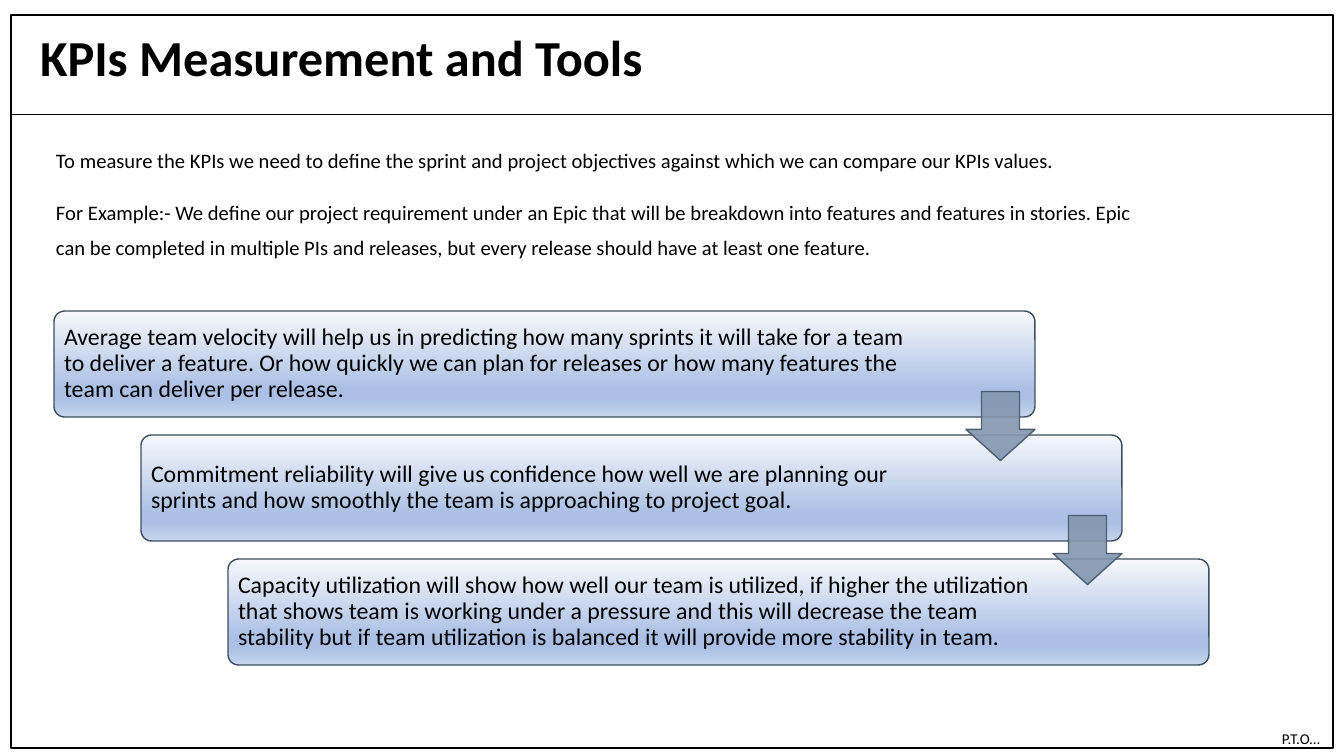
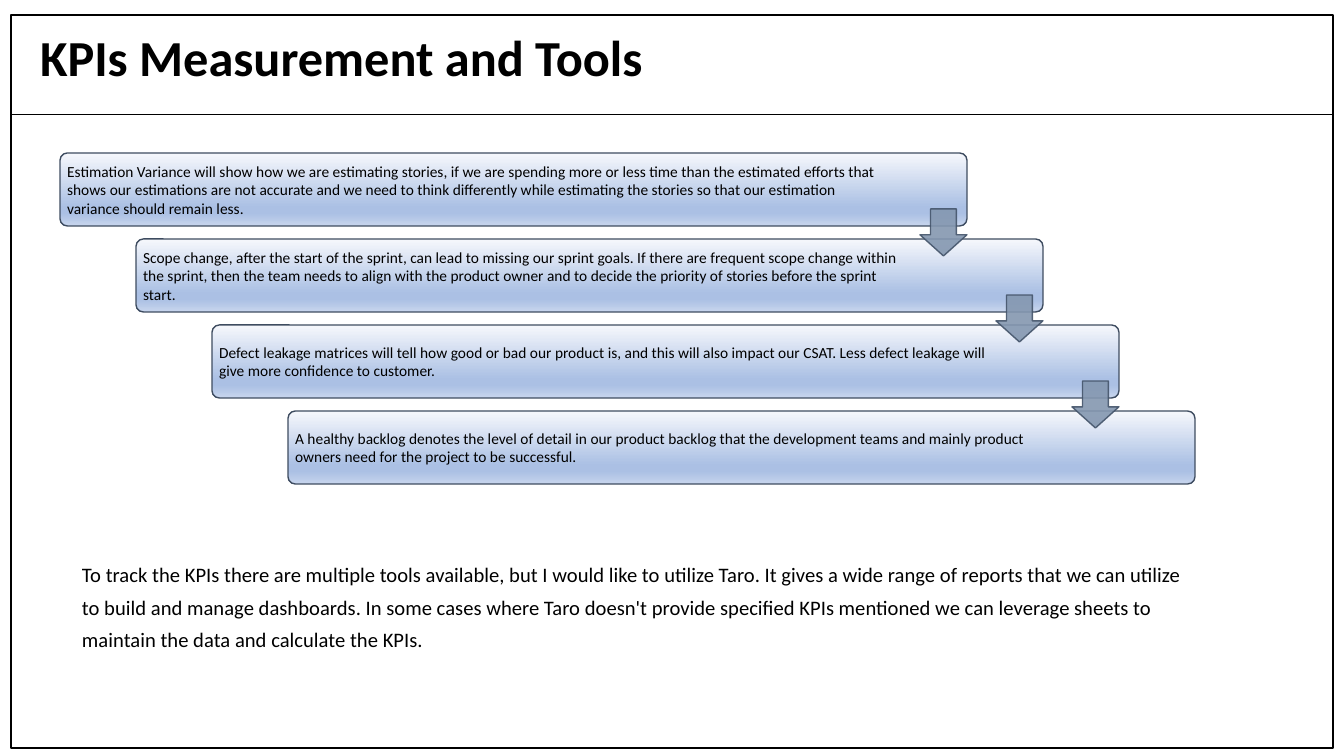
from lxml import etree
from pptx import Presentation
from pptx.dml.color import RGBColor
from pptx.enum.shapes import MSO_CONNECTOR, MSO_SHAPE
from pptx.enum.text import MSO_ANCHOR, PP_ALIGN
from pptx.oxml.ns import qn
from pptx.util import Pt

EMU_PER_INCH = 914400
PX_PER_INCH = 100.8
SLIDE_WIDTH, SLIDE_HEIGHT = 1344, 756

BLACK = RGBColor(0x00, 0x00, 0x00)
CARD_LINE = RGBColor(0x3E, 0x4C, 0x60)
CARD_STOPS = (
    (0, RGBColor(0xF6, 0xF8, 0xFC)),
    (74, RGBColor(0xAB, 0xC0, 0xE4)),
    (83, RGBColor(0xAB, 0xC0, 0xE4)),
    (100, RGBColor(0xC7, 0xD5, 0xED)),
)
ARROW_FILL = RGBColor(0x84, 0x97, 0xB0)
ARROW_LINE = RGBColor(0x44, 0x54, 0x6A)
ARROW_OPACITY = 90

FONT = "Calibri"
TITLE = "KPIs Measurement and Tools"

RECTANGLE = MSO_SHAPE.RECTANGLE
ROUNDED_RECTANGLE = MSO_SHAPE.ROUNDED_RECTANGLE
DOWN_ARROW = MSO_SHAPE.DOWN_ARROW
STRAIGHT = MSO_CONNECTOR.STRAIGHT
TOP, MIDDLE = MSO_ANCHOR.TOP, MSO_ANCHOR.MIDDLE
LEFT = PP_ALIGN.LEFT

OBJECTIVES = (
    "To measure the KPIs we need to define the sprint and project objectives "
    "against which we can compare our KPIs values.",
    "For Example:- We define our project requirement under an Epic that will be "
    "breakdown into features and features in stories. Epic can be completed in "
    "multiple PIs and releases, but every release should have at least one feature.",
)
TEAM_KPIS = (
    "Average team velocity will help us in predicting how many sprints it will take "
    "for a team to deliver a feature. Or how quickly we can plan for releases or how "
    "many features the team can deliver per release.",
    "Commitment reliability will give us confidence how well we are planning our "
    "sprints and how smoothly the team is approaching to project goal.",
    "Capacity utilization will show how well our team is utilized, if higher the "
    "utilization that shows team is working under a pressure and this will decrease "
    "the team stability but if team utilization is balanced it will provide more "
    "stability in team.",
)
DELIVERY_KPIS = (
    "Estimation Variance will show how we are estimating stories, if we are spending "
    "more or less time than the estimated efforts that shows our estimations are not "
    "accurate and we need to think differently while estimating the stories so that "
    "our estimation variance should remain less.",
    "Scope change, after the start of the sprint, can lead to missing our sprint "
    "goals. If there are frequent scope change within the sprint, then the team needs "
    "to align with the product owner and to decide the priority of stories before the "
    "sprint start.",
    "Defect leakage matrices will tell how good or bad our product is, and this will "
    "also impact our CSAT. Less defect leakage will give more confidence to customer.",
    "A healthy backlog denotes the level of detail in our product backlog that the "
    "development teams and mainly product owners need for the project to be "
    "successful.",
)
TOOLS = (
    "To track the KPIs there are multiple tools available, but I would like to utilize "
    "Taro. It gives a wide range of reports that we can utilize to build and manage "
    "dashboards. In some cases where Taro doesn't provide specified KPIs mentioned we "
    "can leverage sheets to maintain the data and calculate the KPIs.",
)


def px(length):
    return round(length * EMU_PER_INCH / PX_PER_INCH)


class Deck:
    def __init__(self):
        self.presentation = Presentation()
        self.presentation.slide_width = px(SLIDE_WIDTH)
        self.presentation.slide_height = px(SLIDE_HEIGHT)
        self.slide = None

    def new_slide(self):
        """Start a slide with the shared frame, title rule and title."""
        layout = self.presentation.slide_layouts[6]
        self.slide = self.presentation.slides.add_slide(layout)
        frame = self.shape(RECTANGLE, 11, 15, 1322, 733, BLACK)
        frame.fill.background()
        self.rule(11, 1333, 114)
        self.text_box(30, 33, 1159, 54, [TITLE], 36, bold=True,
                      line_spacing=0.9, anchor=MIDDLE)

    def shape(self, kind, left, top, width, height, line_color):
        shape = self.slide.shapes.add_shape(
            kind, px(left), px(top), px(width), px(height))
        shape.shadow.inherit = False
        shape.line.color.rgb = line_color
        shape.line.width = Pt(1)
        return shape

    def rule(self, left, right, top):
        line = self.slide.shapes.add_connector(
            STRAIGHT, px(left), px(top), px(right), px(top))
        line.line.color.rgb = BLACK
        line.line.width = Pt(0.5)
        etree.SubElement(line.element.spPr, qn("a:effectLst"))

    def add_text(self, shape, texts, size, margins, bold=False, line_spacing=1.0,
                 space_before=0, anchor=TOP):
        """Fill a shape with paragraphs; margins are left, top, right, bottom."""
        frame = shape.text_frame
        frame.word_wrap = True
        frame.vertical_anchor = anchor
        (frame.margin_left, frame.margin_top,
         frame.margin_right, frame.margin_bottom) = map(px, margins)
        for index, text in enumerate(texts):
            paragraph = frame.add_paragraph() if index else frame.paragraphs[0]
            paragraph.alignment = LEFT
            paragraph.line_spacing = line_spacing
            paragraph.space_before = Pt(space_before)
            run = paragraph.add_run()
            run.text = text
            run.font.name = FONT
            run.font.size = Pt(size)
            run.font.bold = bold
            run.font.color.rgb = BLACK

    def text_box(self, left, top, width, height, texts, size,
                 margins=(10, 5, 10, 5), **style):
        box = self.slide.shapes.add_textbox(
            px(left), px(top), px(width), px(height))
        self.add_text(box, texts, size, margins, **style)

    def body(self, left, top, width, height, texts, line_spacing):
        self.text_box(left, top, width, height, texts, 14.7, (13, 7, 13, 7),
                      line_spacing=line_spacing, space_before=12.4)

    def card(self, left, top, width, height, text, size, margins, line_spacing):
        card = self.shape(ROUNDED_RECTANGLE, left, top, width, height, CARD_LINE)
        card.adjustments[0] = 0.1
        card.fill.gradient()
        card.fill.gradient_angle = 270
        stops = card.element.spPr.find(qn("a:gradFill")).find(qn("a:gsLst"))
        for stop in list(stops):
            stops.remove(stop)
        for position, color in CARD_STOPS:
            stop = etree.SubElement(stops, qn("a:gs"), pos=str(position * 1000))
            etree.SubElement(stop, qn("a:srgbClr"), val=str(color))
        self.add_text(card, [text], size, margins,
                      line_spacing=line_spacing, anchor=MIDDLE)

    def arrow(self, left, top, side):
        arrow = self.shape(DOWN_ARROW, left, top, side, side, ARROW_LINE)
        arrow.adjustments[0] = 0.55
        arrow.adjustments[1] = 0.45
        arrow.fill.solid()
        arrow.fill.fore_color.rgb = ARROW_FILL
        for color in arrow.element.spPr.iter(qn("a:srgbClr")):
            etree.SubElement(color, qn("a:alpha"), val=str(ARROW_OPACITY * 1000))

    def staircase(self, left, top, width, height, step_x, step_y, texts, size,
                  inset, first_margin, other_margin, line_spacing=1.0):
        """Stack cards stepping right, with an arrow centred on each gap."""
        for index, text in enumerate(texts):
            right_margin = other_margin if index else first_margin
            self.card(left + index * step_x, top + index * step_y, width, height,
                      text, size, (inset, inset, right_margin, inset), line_spacing)
        side = round(height * 0.65)
        first_gap_middle = top + (height + step_y) / 2
        for index in range(len(texts) - 1):
            self.arrow(left + width - side + index * step_x,
                       first_gap_middle - side / 2 + index * step_y, side)

    def save(self):
        self.presentation.save("out.pptx")


def main():
    deck = Deck()

    deck.new_slide()
    deck.staircase(54, 311, 981, 106, 87, 124, TEAM_KPIS, 17, inset=7,
                   first_margin=116, other_margin=163, line_spacing=0.9)
    deck.body(43, 131, 1128, 136, OBJECTIVES, line_spacing=1.4)
    deck.text_box(1272, 725, 72, 28, ["P.T.O…"], 10.7)

    deck.new_slide()
    deck.staircase(60, 153, 907, 73, 76, 86, DELIVERY_KPIS, 11, inset=5,
                   first_margin=85, other_margin=129)
    deck.body(69, 548, 1128, 108, TOOLS, line_spacing=1.3)

    deck.save()


if __name__ == "__main__":
    main()
